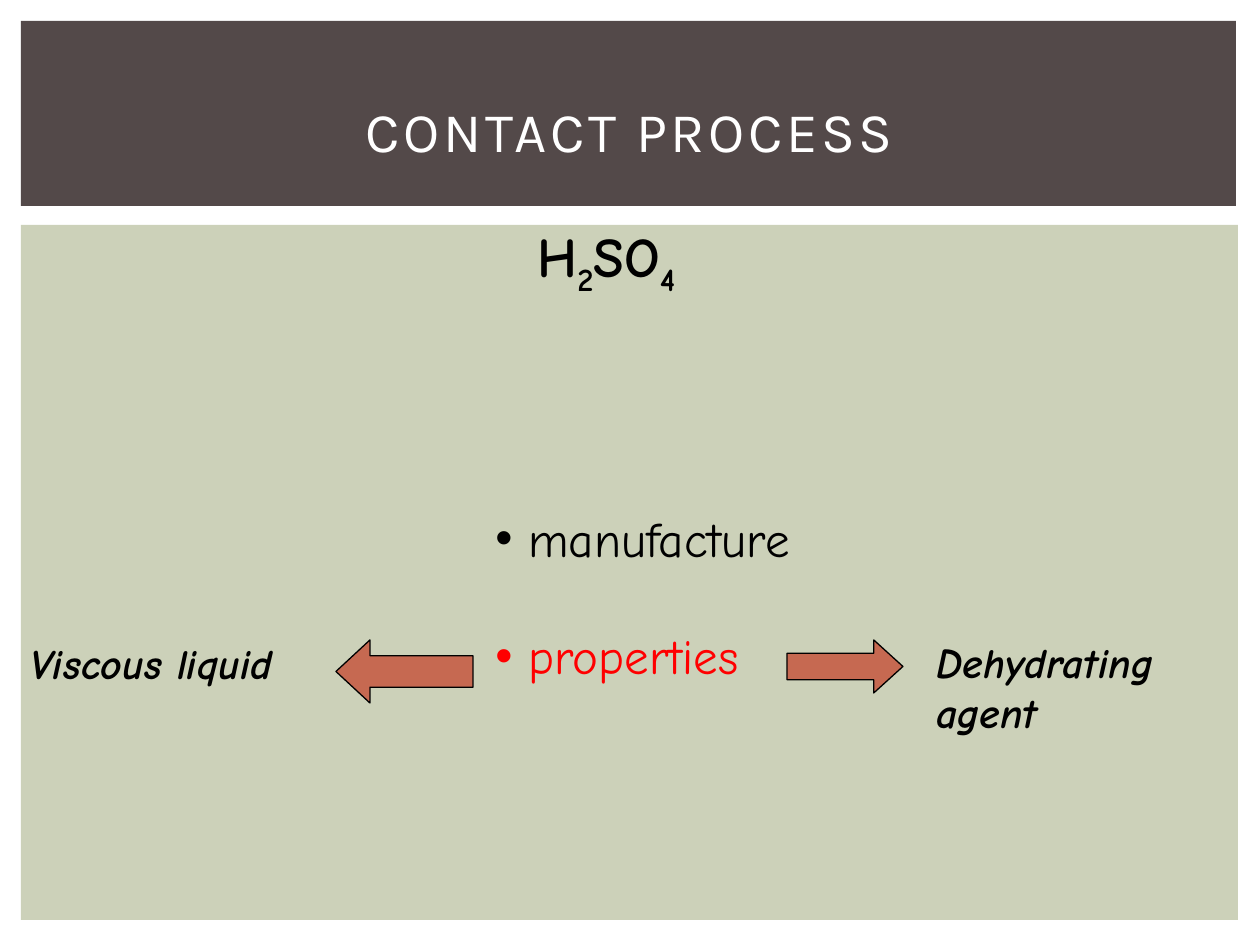
from pptx import Presentation, util as u
from pptx.dml.color import RGBColor
from pptx.enum import shapes, text
from lxml import etree

PX = 914400 / 126
HAND = "Comic Neue"
INK = "000000"
KIND = shapes.MSO_SHAPE


def px(n):
    """Turn pixels into EMU."""
    return u.Emu(round(n * PX))


def hue(code):
    """Turn a hex string into a colour."""
    return RGBColor.from_string(code)


def form(slide, kind, box, fill, line=None):
    """Draw a flat shape in a box."""
    part = slide.shapes.add_shape(kind, *map(px, box))
    part.shadow.inherit = False
    part.fill.solid()
    part.fill.fore_color.rgb = hue(fill)
    if line:
        part.line.color.rgb = hue(line)
        part.line.width = u.Pt(0.75)
    else:
        part.line.fill.background()
    return part


def label(slide, box):
    """Add a text box that fits its text and return its frame."""
    frame = slide.shapes.add_textbox(*map(px, box)).text_frame
    frame.word_wrap = False
    frame.auto_size = text.MSO_AUTO_SIZE.SHAPE_TO_FIT_TEXT
    return frame


def write(para, words, size, color=INK, face=HAND, bold=False, slant=False):
    """Add one run and return it."""
    run = para.add_run()
    run.text = words
    font = run.font
    font.name, font.size = face, u.Pt(size)
    font.bold, font.italic = bold, slant
    font.color.rgb = hue(color)
    return run


def lines(frame, rows):
    """Yield each row with its own paragraph."""
    for i, row in enumerate(rows):
        yield (frame.add_paragraph() if i else frame.paragraphs[0]), row


def dot(para, hang):
    """Give a paragraph a round bullet with a hanging indent."""
    props = para._p.get_or_add_pPr()
    props.set("marL", str(px(hang)))
    props.set("indent", str(-px(hang)))
    space = "{http://schemas.openxmlformats.org/drawingml/2006/main}"
    etree.SubElement(props, space + "buFont", typeface="Arial")
    etree.SubElement(props, space + "buChar", char="•")


def head(slide, box):
    """Draw the title band with its spaced title."""
    x, y, w, h = box
    form(slide, KIND.RECTANGLE, box, "534949")
    frame = label(slide, (x + 73, y + 31, w - 144, h - 28))
    frame.word_wrap = True
    frame.auto_size = text.MSO_AUTO_SIZE.NONE
    frame.vertical_anchor = text.MSO_ANCHOR.MIDDLE
    para = frame.paragraphs[0]
    para.alignment = text.PP_ALIGN.CENTER
    run = write(para, "CONTACT PROCESS", 32, "FFFFFF", "Karla")
    run._r.get_or_add_rPr().set("spc", "200")


def acid(slide, box):
    """Write the formula with lowered digits."""
    para = label(slide, box).paragraphs[0]
    for part in ("H", "2", "SO", "4"):
        run = write(para, part, 32, bold=True)
        if part.isdigit():
            run._r.get_or_add_rPr().set("baseline", "-25000")


def topics(slide, box):
    """Write the bulleted topics."""
    rows = [("manufacture", INK), ("properties", "FF0000")]
    frame = label(slide, box)
    for para, (words, color) in lines(frame, rows):
        dot(para, 33)
        if para._p is not frame.paragraphs[0]._p:
            para.space_before = u.Pt(33.7)
        write(para, words, 28, color)


def trait(slide, box, rows):
    """Write one property of the acid."""
    for para, words in lines(label(slide, box), rows):
        write(para, words, 24, bold=True, slant=True)


def arrow(slide, kind, box, tip):
    """Draw a block arrow with the given head length."""
    part = form(slide, kind, box, "C66951", INK)
    part.adjustments[0] = 0.5
    part.adjustments[1] = tip


def body(slide, box):
    """Draw the panel with the formula, topics and traits."""
    x, y, w, h = box
    form(slide, KIND.RECTANGLE, box, "CCD1B9")
    acid(slide, (x + 504, y - 10, 197, 79))
    topics(slide, (x + 462, y + 277, 350, 251))
    arrow(slide, KIND.LEFT_ARROW, (x + 315, y + 415, 137, 63), 0.54)
    arrow(slide, KIND.RIGHT_ARROW, (x + 766, y + 415, 116, 53), 0.55)
    trait(slide, (x + 903, y + 405, 289, 113), ["Dehydrating", "agent"])
    trait(slide, (x - 3, y + 406, 294, 63), ["Viscous liquid"])


def main():
    """Build and save the slide."""
    deck = Presentation()
    deck.slide_width, deck.slide_height = px(1260), px(945)
    slide = deck.slides.add_slide(deck.slide_layouts[6])
    body(slide, (21, 225, 1217, 695))
    head(slide, (21, 21, 1215, 185))
    deck.save("out.pptx")


if __name__ == "__main__":
    main()
